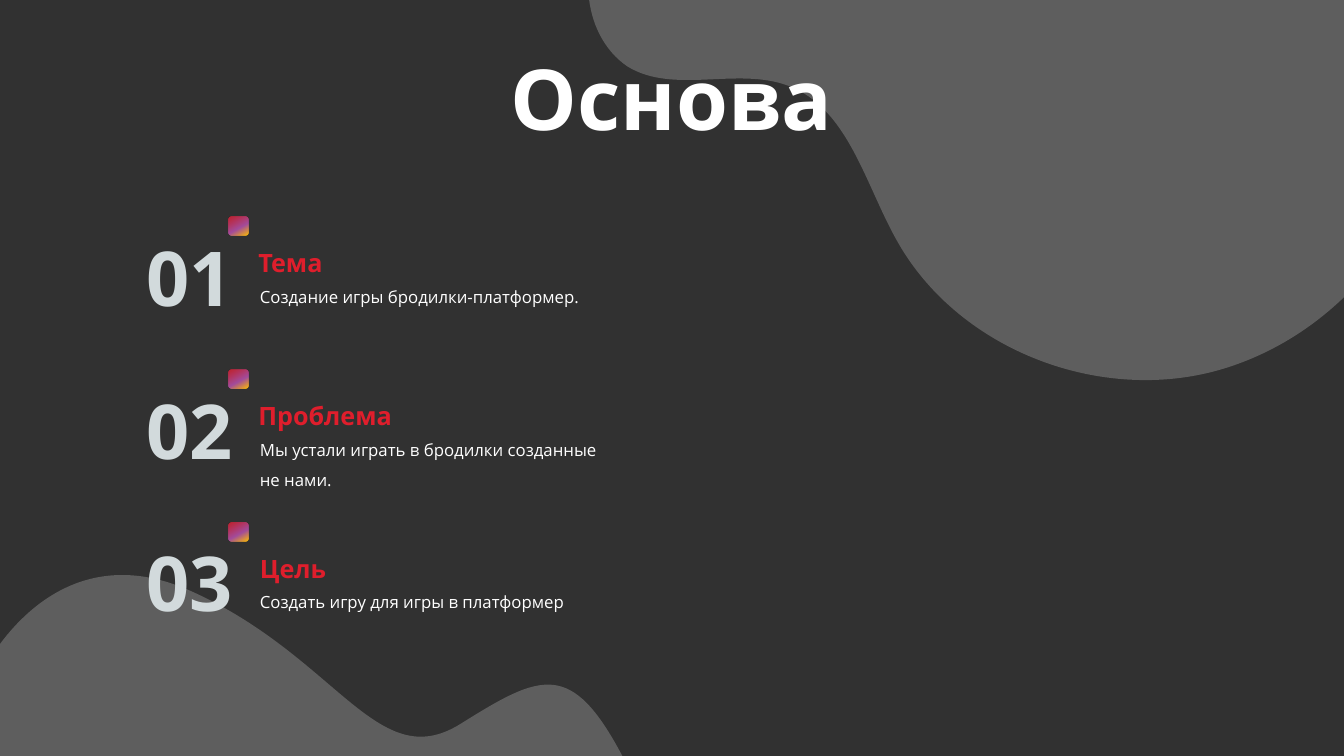
from lxml import etree
from pptx import Presentation
from pptx.dml.color import RGBColor
from pptx.enum.shapes import MSO_SHAPE
from pptx.enum.text import MSO_ANCHOR, MSO_AUTO_SIZE, PP_ALIGN
from pptx.oxml import parse_xml
from pptx.oxml.ns import qn
from pptx.util import Cm, Pt

ROUNDED = MSO_SHAPE.ROUNDED_RECTANGLE
MIDDLE = MSO_ANCHOR.MIDDLE
FIXED = MSO_AUTO_SIZE.NONE
GROW = MSO_AUTO_SIZE.SHAPE_TO_FIT_TEXT
CENTER = PP_ALIGN.CENTER

DARK = RGBColor(0x31, 0x31, 0x31)
WHITE = RGBColor(0xFF, 0xFF, 0xFF)
RED = RGBColor(0xDF, 0x1E, 0x2C)
PURPLE = RGBColor(0xA3, 0x4D, 0x9D)
AMBER = RGBColor(0xFF, 0xC0, 0x00)
PALE = RGBColor(0xD2, 0xDA, 0xDC)

BODY_FONT = "Open Sans"
HEADING_FONT = "Cabin"
BLOB_OPACITY = 22
DRAWING_NS = "http://schemas.openxmlformats.org/drawingml/2006/main"

# Each wave is a start point followed by two handles and an end per curve,
# in centimetres from the corner of its blob.
BOTTOM_WAVE = [
    (15.7, 0),
    (14.4, -2.47), (13.64, -2.11), (11.61, -0.84),
    (9.5, 0.48), (8.51, -2.54), (4.78, -4.2),
    (2.39, -5.26), (0.81, -3.94), (0, -2.85),
]
TOP_WAVE = [
    (0, 0),
    (0.05, 0.74), (0.38, 1.45), (0.99, 1.86),
    (2.16, 2.57), (3.74, 1.86), (5.03, 2.34),
    (6.53, 2.9), (6.96, 4.78), (7.75, 6.2),
    (9.25, 8.94), (12.78, 10.34), (15.8, 9.53),
    (17.02, 9.2), (18.14, 8.54), (19.04, 7.67),
]

# Number, heading, heading inset and width, description and its height.
TOPICS = [
    ("01", "Тема", 2.81, 6.91, "Создание игры бродилки-платформер.", 0.94),
    ("02", "Проблема", 2.81, 10.67,
     "Мы устали играть в бродилки созданные не нами.", 1.7),
    ("03", "Цель", 2.85, 5.61, "Создать игру для игры в платформер", 0.94),
]
TOPIC_PITCH = 3.85


def bend_segments(blob):
    """Turn every three straight segments into one cubic curve."""
    segments = list(blob._element.iter(qn("a:lnTo")))
    for first in range(0, len(segments) - 2, 3):
        curve = etree.Element(qn("a:cubicBezTo"))
        segments[first].addprevious(curve)
        for segment in segments[first:first + 3]:
            curve.append(segment[0])
            segment.getparent().remove(segment)


def add_blob(slide, left, top, wave):
    """Draw the translucent area between a wave and the slide edge."""
    corner = (wave[-1][0], 0)
    outline = wave + [corner] * 3 + wave[:1]
    points = [(Cm(left + x), Cm(top + y)) for x, y in outline]
    builder = slide.shapes.build_freeform(*points[0])
    builder.add_line_segments(points[1:], close=True)
    blob = builder.convert_to_shape()
    bend_segments(blob)
    blob.shadow.inherit = False
    blob.line.fill.background()
    blob.fill.solid()
    blob.fill.fore_color.rgb = WHITE
    color = blob._element.spPr.find(qn("a:solidFill"))[0]
    etree.SubElement(color, qn("a:alpha"), val=str(BLOB_OPACITY * 1000))


def add_label(slide, left, top, width, height, text, size, color,
              font=BODY_FONT, bold=True, spacing=None):
    label = slide.shapes.add_textbox(Cm(left), Cm(top), Cm(width), Cm(height))
    label.text_frame.word_wrap = True
    label.text_frame.auto_size = GROW
    paragraph = label.text_frame.paragraphs[0]
    paragraph.line_spacing = spacing
    run = paragraph.add_run()
    run.text = text
    run.font.name = font
    run.font.size = Pt(size)
    run.font.bold = bold
    run.font.color.rgb = color
    return label


def add_title(slide, left, top, width, height, text):
    title = add_label(slide, left, top, width, height, text, 60, WHITE,
                      spacing=0.9)
    title.text_frame.auto_size = FIXED
    title.text_frame.vertical_anchor = MIDDLE
    paragraph = title.text_frame.paragraphs[0]
    paragraph.alignment = CENTER
    paragraph.space_before = Pt(10)


def add_marker(slide, left, top, side):
    marker = slide.shapes.add_shape(ROUNDED, Cm(left), Cm(top),
                                    Cm(side), Cm(side))
    marker.shadow.inherit = False
    marker.line.fill.background()
    marker.fill.background()
    no_fill = marker._element.spPr.find(qn("a:noFill"))
    gradient = parse_xml(
        f'<a:gradFill xmlns:a="{DRAWING_NS}" rotWithShape="1"><a:gsLst>'
        f'<a:gs pos="0"><a:srgbClr val="{RED}"><a:alpha val="81000"/>'
        f'</a:srgbClr></a:gs>'
        f'<a:gs pos="58000"><a:srgbClr val="{PURPLE}"/></a:gs>'
        f'<a:gs pos="100000"><a:srgbClr val="{AMBER}"/></a:gs>'
        f'</a:gsLst><a:lin ang="3600000" scaled="0"/></a:gradFill>')
    no_fill.getparent().replace(no_fill, gradient)


def add_topic(slide, left, top, number, heading, heading_inset,
              heading_width, description, description_height):
    add_marker(slide, left + 2.32, top, 0.48)
    add_label(slide, left + 2.85, top + 1.38, 9.58, description_height,
              description, 12, WHITE, bold=False, spacing=1.5)
    add_label(slide, left + heading_inset, top + 0.27, heading_width, 1.27,
              heading, 18, RED, font=HEADING_FONT, spacing=1.5)
    add_label(slide, left, top + 0.23, 3.05, 2.57, number, 54, PALE)


def main():
    deck = Presentation()
    deck.slide_width, deck.slide_height = Cm(33.87), Cm(19.05)
    slide = deck.slides.add_slide(deck.slide_layouts[6])
    slide.background.fill.solid()
    slide.background.fill.fore_color.rgb = DARK

    add_blob(slide, 0, 19.08, BOTTOM_WAVE)
    add_blob(slide, 14.83, -0.18, TOP_WAVE)
    add_title(slide, 5.65, 1.1, 22.56, 3, "Основа")
    for index, topic in enumerate(TOPICS):
        add_topic(slide, 3.45, 5.46 + index * TOPIC_PITCH, *topic)
    deck.save("out.pptx")


if __name__ == "__main__":
    main()
